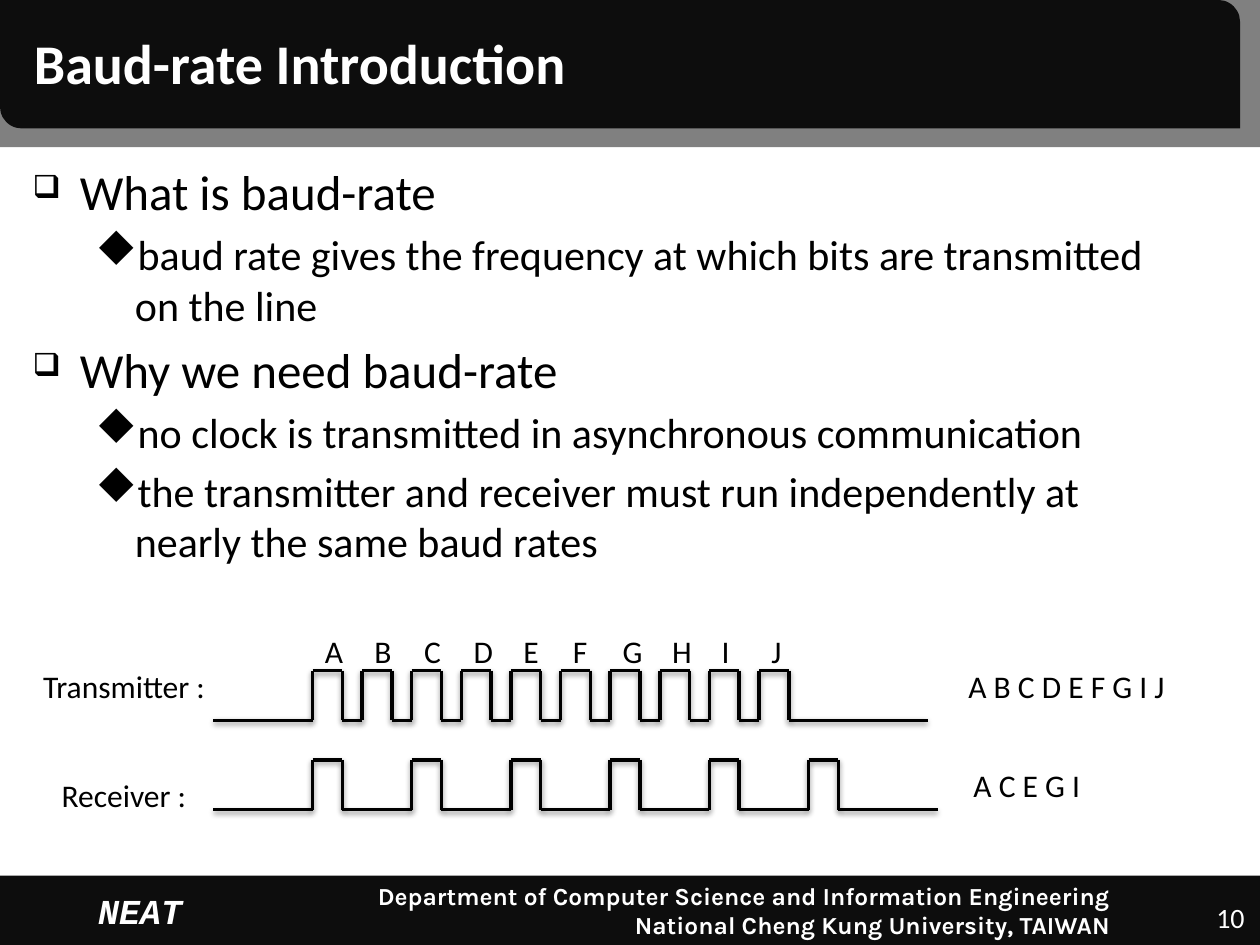
from lxml import etree
from pptx import Presentation
from pptx import util as u
from pptx.dml import color as dml
from pptx.enum import shapes as kinds, text as t
from pptx.oxml import ns, parse_xml

BLACK, GREY, WHITE = "0D0D0D", "808080", "FFFFFF"
BULLETS = {
    0: dict(size=28, mark="q", scale=65, margin=0.95, hang=0.95),
    1: dict(size=24, mark="u", scale=100, margin=2.06, hang=0.79),
}
OUTLINE = [
    (0, "What is baud-rate"),
    (1, "baud rate gives the frequency at which bits are transmitted on the line"),
    (0, "Why we need baud-rate"),
    (1, "no clock is transmitted in asynchronous communication"),
    (1, "the transmitter and receiver must run independently at nearly the same baud rates"),
]
SHADOW = (
    f'<a:effectLst {ns.nsdecls("a")}><a:outerShdw blurRad="40000" dist="20000" dir="5400000" '
    'rotWithShape="0"><a:srgbClr val="000000"><a:alpha val="38000"/></a:srgbClr>'
    "</a:outerShdw></a:effectLst>"
)


def rgb(hex_code):
    """Turn a hex string into a colour."""
    return dml.RGBColor.from_string(hex_code)


def lengths(box):
    """Turn centimetre values into lengths."""
    return [u.Cm(round(value, 2)) for value in box]


def write(paragraph, words, size=18, color="000000", font="Calibri",
          bold=False, italic=False, align=t.PP_ALIGN.LEFT):
    """Write one formatted run into a paragraph."""
    paragraph.alignment = align
    run = paragraph.add_run()
    run.text = words
    run.font.size, run.font.name = u.Pt(size), font
    run.font.bold, run.font.italic = bold, italic
    run.font.color.rgb = rgb(color)


def add_text(shapes, box, lines, anchor=t.MSO_ANCHOR.MIDDLE, wrap=True, insets=None, **style):
    """Place a text box with one paragraph for each line."""
    frame = shapes.add_textbox(*lengths(box)).text_frame
    frame.word_wrap, frame.vertical_anchor = wrap, anchor
    if insets:
        side, edge = lengths(insets)
        frame.margin_left = frame.margin_right = side
        frame.margin_top = frame.margin_bottom = edge
    for index, line in enumerate(lines):
        paragraph = frame.add_paragraph() if index else frame.paragraphs[0]
        write(paragraph, line, **style)
    return frame


def add_panel(shapes, preset, box, fill):
    """Place a plain filled panel."""
    panel = shapes.add_shape(preset, *lengths(box))
    panel.shadow.inherit = False
    panel.fill.solid()
    panel.fill.fore_color.rgb = rgb(fill)
    panel.line.fill.background()
    return panel


def add_header(slide, box, heading):
    """Build the header band and its title."""
    left, top, width, height = box
    add_panel(slide.shapes, kinds.MSO_SHAPE.RECTANGLE, box, GREY)
    banner = add_panel(slide.shapes, kinds.MSO_SHAPE.ROUND_2_DIAG_RECTANGLE,
                       (left, top, width - 0.4, height - 0.38), BLACK)
    banner.adjustments[0], banner.adjustments[1] = 0, 0.17
    title = slide.shapes.title
    title.left, title.top, title.width, title.height = lengths((left + 0.43, top, 22.86, 2.51))
    title.element.getparent().append(title.element)
    frame = title.text_frame
    frame.auto_size = t.MSO_AUTO_SIZE.NONE
    frame.vertical_anchor = t.MSO_ANCHOR.MIDDLE
    write(frame.paragraphs[0], heading, size=32, color=WHITE, bold=True)


def add_footer(slide, box, page):
    """Build the footer band with lab, department and page number."""
    left, top, _, _ = box
    add_panel(slide.shapes, kinds.MSO_SHAPE.RECTANGLE, box, BLACK)
    add_text(slide.shapes, (left + 7, top + 0.08, 15.63, 1.24),
             ["Department of Computer Science and Information Engineering",
              "National Cheng Kung University, TAIWAN"],
             insets=(0.25, 0.03), size=14, font="Karla", color=WHITE,
             bold=True, align=t.PP_ALIGN.RIGHT)
    add_text(slide.shapes, (left + 24, top + 0.38, 1.19, 1.02), [page],
             anchor=t.MSO_ANCHOR.TOP, insets=(0.1, 0.13), size=16, color=WHITE,
             align=t.PP_ALIGN.RIGHT)
    add_text(slide.shapes, (left + 1.73, top + 0.16, 2.44, 1.09), ["NEAT"],
             anchor=t.MSO_ANCHOR.TOP, wrap=False, size=20, font="Courier New",
             color=WHITE, bold=True, italic=True)


def add_outline(slide, box):
    """Build the two-level bulleted outline."""
    frame = add_text(slide.shapes, box, [], anchor=t.MSO_ANCHOR.TOP)
    for index, (level, words) in enumerate(OUTLINE):
        paragraph = frame.add_paragraph() if index else frame.paragraphs[0]
        look = BULLETS[level]
        paragraph.level = level
        paragraph.space_before = u.Pt(look["size"] * 0.2)
        write(paragraph, words, size=look["size"])
        properties = paragraph._p.get_or_add_pPr()
        properties.set("marL", str(u.Cm(look["margin"])))
        properties.set("indent", str(-u.Cm(look["hang"])))
        tint = etree.SubElement(properties, ns.qn("a:buClr"))
        etree.SubElement(tint, ns.qn("a:srgbClr"), val="000000")
        etree.SubElement(properties, ns.qn("a:buSzPct"), val=str(look["scale"] * 1000))
        etree.SubElement(properties, ns.qn("a:buFont"), typeface="Wingdings", charset="2")
        etree.SubElement(properties, ns.qn("a:buChar"), char=look["mark"])


def add_wave(slide, box, pulses, pitch, letters=""):
    """Draw a square wave in a box, with a letter over each pulse."""
    left, top, width, height = box
    low, lead, pulse = top + height, 2, 0.6
    group = slide.shapes.add_group_shape().shapes
    starts = [left + lead + index * pitch for index in range(pulses)]
    corners = [(left, low)]
    for start in starts:
        corners += [(start, low), (start, top), (start + pulse, top), (start + pulse, low)]
    corners.append((left + width, low))
    for begin, end in zip(corners, corners[1:]):
        edge = group.add_connector(kinds.MSO_CONNECTOR.STRAIGHT, *lengths(begin + end))
        edge.line.color.rgb = rgb("000000")
        edge.line.width = u.Pt(2)
        edge._element.spPr.append(parse_xml(SHADOW))
    for start, letter in zip(starts, letters):
        add_text(group, (start, top - 0.8, pulse, 0.8), [letter], align=t.PP_ALIGN.CENTER)


def add_signals(slide, box):
    """Build the transmitter and receiver rows with their captions."""
    left, top, _, _ = box
    add_wave(slide, (left + 3.8, top, 14.4, 1), 10, 1, "ABCDEFGHIJ")
    add_wave(slide, (left + 3.8, top + 1.8, 14.6, 1), 6, 2)
    captions = [
        ("Transmitter :", 0, 0, 4, 0.6),
        ("A B C D E F G I J", 18.6, 0, 4.8, 0.6),
        ("Receiver :", 0.4, 2, 3.2, 1),
        ("A C E G I", 18.8, 2, 2.8, 0.6),
    ]
    for words, x, y, width, height in captions:
        add_text(slide.shapes, (left + x, top + y, width, height), [words],
                 align=t.PP_ALIGN.CENTER)


def main():
    """Build the slide and save it."""
    deck = Presentation()
    deck.slide_width, deck.slide_height = lengths((25.4, 19.05))
    slide = deck.slides.add_slide(deck.slide_layouts.get_by_name("Title Only"))
    add_header(slide, (0, 0, 25.4, 2.97), "Baud-rate Introduction")
    add_footer(slide, (0, 17.65, 25.4, 1.4), "10")
    add_outline(slide, (0.41, 3.13, 23.8, 13.49))
    add_signals(slide, (0.5, 13.52, 23.4, 3))
    deck.save("out.pptx")


if __name__ == "__main__":
    main()
